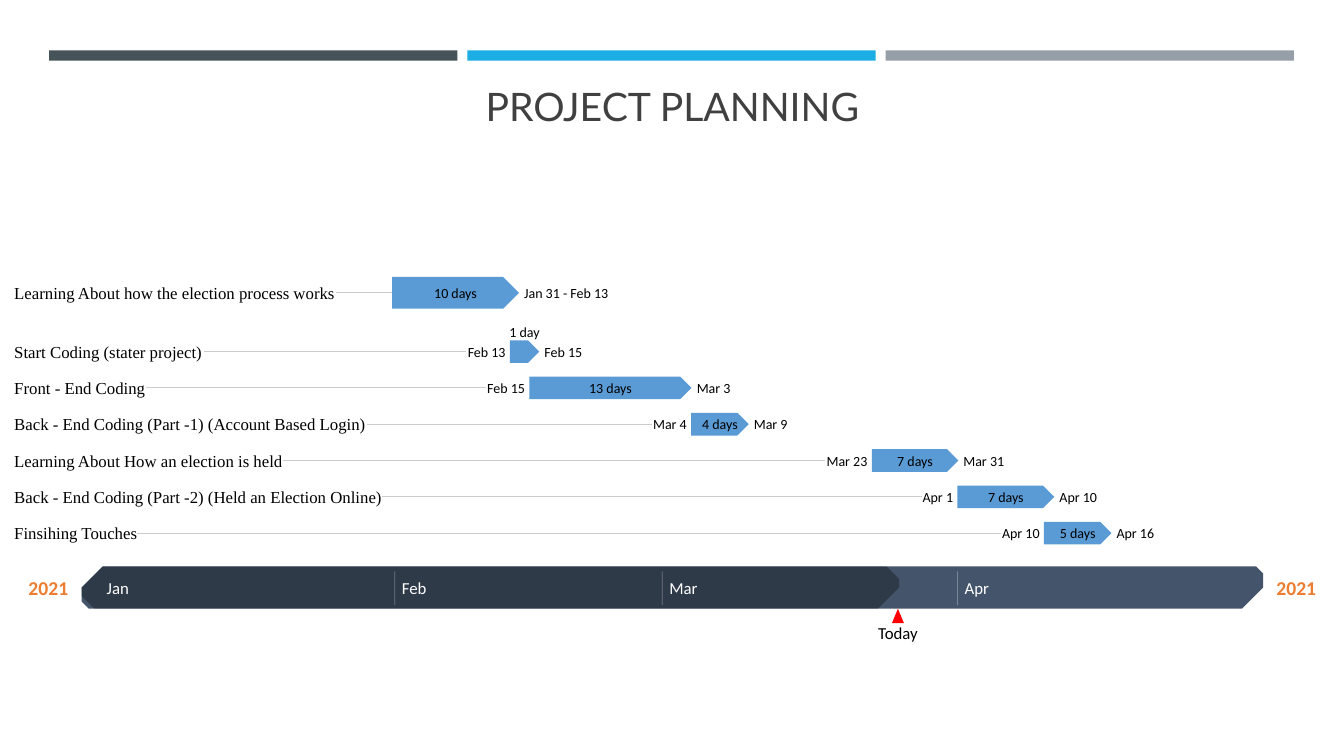
"""Build a project planning slide with a Gantt chart above a month timeline."""
from lxml.etree import SubElement
from pptx import Presentation
from pptx.dml.color import RGBColor
from pptx.enum.shapes import MSO_CONNECTOR, MSO_SHAPE as SHAPE
from pptx.enum.text import MSO_ANCHOR as ANCHOR, PP_ALIGN as ALIGN
from pptx.oxml.ns import qn
from pptx.util import Cm, Pt

BLACK = RGBColor(0x00, 0x00, 0x00)
WHITE = RGBColor(0xFF, 0xFF, 0xFF)
TITLE_GRAY = RGBColor(0x40, 0x40, 0x40)
LEADER_GRAY = RGBColor(0xCC, 0xCC, 0xCC)
ORANGE = RGBColor(0xED, 0x7D, 0x31)
RED = RGBColor(0xFF, 0x00, 0x00)
TASK_BLUE = RGBColor(0x5B, 0x9B, 0xD5)
BAND_BLUE = RGBColor(0x44, 0x54, 0x6A)
HEADER_COLORS = (RGBColor(0x46, 0x53, 0x59), RGBColor(0x1C, 0xAD, 0xE4),
                 RGBColor(0x96, 0x9F, 0xA7))

DATE_H, LABEL_H = 0.43, 0.48
LABEL_X, LABEL_SLACK = 0.36, 0.3
DURATION_W, MONTH_W = 1.2, 1
START_GAP, END_GAP = 0.11, 0.13
BAND_X, BAND_Y, BAND_H = 2.06, 14.27, 1.07

prs = Presentation()
prs.slide_width, prs.slide_height = Cm(33.87), Cm(19.05)
s = prs.slides.add_slide(prs.slide_layouts[6])


def add_text(text, x, y, w, h, size=10, font="Calibri", color=BLACK, bold=False,
             align=ALIGN.CENTER, anchor=ANCHOR.MIDDLE, inset=0):
    tf = s.shapes.add_textbox(Cm(x), Cm(y), Cm(w), Cm(h)).text_frame
    tf.word_wrap = False
    tf.vertical_anchor = anchor
    tf.margin_left = tf.margin_right = Cm(inset)
    tf.margin_top = tf.margin_bottom = Cm(inset / 2)
    p = tf.paragraphs[0]
    p.alignment = align
    r = p.add_run()
    r.text = text
    r.font.size, r.font.name, r.font.bold = Pt(size), font, bold
    r.font.color.rgb = color


def add_block(kind, x, y, w, h, color, adjustments=()):
    sp = s.shapes.add_shape(kind, Cm(x), Cm(y), Cm(w), Cm(h))
    sp.shadow.inherit = False
    sp.fill.solid()
    sp.fill.fore_color.rgb = color
    sp.line.fill.background()
    for i, value in enumerate(adjustments):
        sp.adjustments[i] = value
    return sp


for i, color in enumerate(HEADER_COLORS):
    add_block(SHAPE.RECTANGLE, 1.24 + 10.54 * i, 1.27, 10.29, 0.26, color)
add_text("PROJECT PLANNING", 1.63, 1.96, 30.63, 3.3, size=28, font="Lato",
         color=TITLE_GRAY, anchor=ANCHOR.TOP, inset=0.25)

for x in (0.71, 32.16):
    add_text("2021", x, 14.5, 1.02, 0.61, size=14, color=ORANGE, bold=True)
add_block(SHAPE.SNIP_2_DIAG_RECTANGLE, BAND_X, BAND_Y, 29.77, BAND_H, BAND_BLUE, (1, 0.167))
elapsed = add_block(SHAPE.SNIP_2_DIAG_RECTANGLE, BAND_X, BAND_Y, 20.6, BAND_H, BLACK, (1, 0.3))
add_block(SHAPE.ISOSCELES_TRIANGLE, 22.48, 15.34, 0.3, 0.36, RED)
add_text("Today", 22.03, 15.7, 1.2, 0.51, size=12)

faded = [elapsed]
rules = []
for month, x in (("Jan", 2.69), ("Feb", 10.13), ("Mar", 16.87), ("Apr", 24.31)):
    add_text(month, x, 14.55, MONTH_W, 0.51, size=12, color=WHITE, align=ALIGN.LEFT)
    if month != "Jan":
        rules.append((x - 0.18, 14.4, x - 0.18, 15.24, WHITE))

DATE_WIDTHS = {
    "Jan 31 - Feb 13": 2.16, "Feb 13": 0.99, "Feb 15": 0.99, "Mar 3": 0.89, "Mar 4": 0.89,
    "Mar 9": 0.89, "Mar 23": 1.07, "Mar 31": 1.07, "Apr 1": 0.79, "Apr 10": 0.97, "Apr 16": 0.97,
}
tasks = [
    ("Learning About how the election process works", 8.1, 9.88, 3.2,
     "", "10 days", "Jan 31 - Feb 13"),
    ("Start Coding (stater project)", 4.78, 12.85, 0.74, "Feb 13", "1 day", "Feb 15"),
    ("Front - End Coding", 3.33, 13.34, 4.09, "Feb 15", "13 days", "Mar 3"),
    ("Back - End Coding (Part -1) (Account Based Login)", 8.89, 17.42, 1.45,
     "Mar 4", "4 days", "Mar 9"),
    ("Learning About How an election is held", 6.78, 21.97, 2.18, "Mar 23", "7 days", "Mar 31"),
    ("Back - End Coding (Part -2) (Held an Election Online)", 9.27, 24.13, 2.44,
     "Apr 1", "7 days", "Apr 10"),
    ("Finsihing Touches", 3.1, 26.31, 1.7, "Apr 10", "5 days", "Apr 16"),
]
for i, (label, label_w, x, w, start, duration, end) in enumerate(tasks):
    mid, bar_h = (8.86 + 0.915 * (i - 1), 0.57) if i else (7.38, 0.8)
    date_y = mid - DATE_H / 2
    add_block(SHAPE.PENTAGON, x, mid - bar_h / 2, w, bar_h, TASK_BLUE)
    add_text(label, LABEL_X, mid - LABEL_H / 2, label_w + LABEL_SLACK, LABEL_H, size=12,
             font="Times New Roman", align=ALIGN.LEFT)
    duration_y = date_y - 0.49 if duration == "1 day" else date_y
    add_text(duration, x + (w - DURATION_W) / 2, duration_y, DURATION_W, DATE_H)
    add_text(end, x + w + END_GAP, date_y, DATE_WIDTHS[end] + 0.1, DATE_H, align=ALIGN.LEFT)
    leader_end = x
    if start:
        leader_end = x - START_GAP - DATE_WIDTHS[start]
        add_text(start, leader_end - 0.1, date_y, DATE_WIDTHS[start] + 0.1, DATE_H,
                 align=ALIGN.RIGHT)
    rules.append((LABEL_X + label_w, mid, leader_end, mid, LEADER_GRAY))

for x1, y1, x2, y2, color in rules:
    rule = s.shapes.add_connector(MSO_CONNECTOR.STRAIGHT, Cm(x1), Cm(y1), Cm(x2), Cm(y2))
    rule.line.color.rgb = color
    rule.line.width = Pt(0.6)
    SubElement(rule.element.spPr, qn("a:effectLst"))
    if color == WHITE:
        faded.append(rule)

for sp in faded:
    for clr in sp.element.spPr.iter(qn("a:srgbClr")):
        SubElement(clr, qn("a:alpha"), val="30000")

prs.save("out.pptx")
